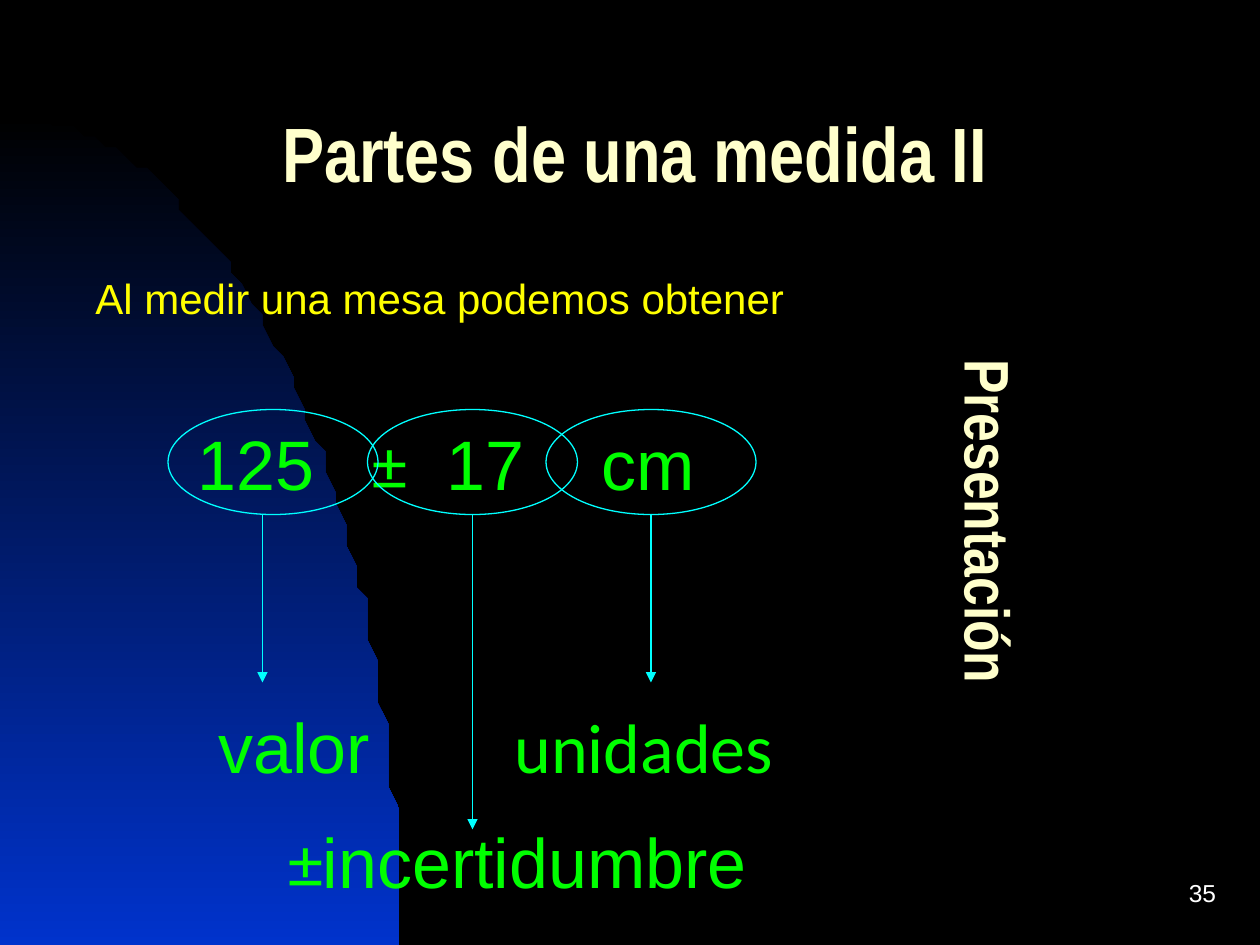
import lxml.etree
import pptx
import pptx.dml.color
import pptx.enum.shapes
import pptx.enum.text
import pptx.oxml.ns
import pptx.util

Inches = pptx.util.Inches
Pt = pptx.util.Pt
qn = pptx.oxml.ns.qn
ALIGN = pptx.enum.text.PP_ALIGN
ANCHOR = pptx.enum.text.MSO_ANCHOR

deck = pptx.Presentation()
deck.slide_width, deck.slide_height = Inches(10), Inches(7.5)
page = deck.slides.add_slide(deck.slide_layouts[6])

# Grid of 120 columns and 90 rows
CELL = deck.slide_width // 120
GREEN, CREAM, CYAN = "00FF00", "FFFFCC", "00FFFF"


def color(value):
    return pptx.dml.color.RGBColor.from_string(value)


def add_text(spans, left, top, width, height, size=40, fill=GREEN, font="Arial",
             bold=False, align=ALIGN.LEFT, anchor=ANCHOR.TOP, spacing=None,
             insets=(0, 0, 0, 0), tabs=(), vertical=None):
    """Add one paragraph; spans is a string or a list of (text, font)."""
    box = page.shapes.add_textbox(left * CELL, top * CELL, width * CELL, height * CELL)
    frame = box.text_frame
    frame.word_wrap = True
    frame.vertical_anchor = anchor
    (frame.margin_left, frame.margin_top,
     frame.margin_right, frame.margin_bottom) = map(Inches, insets)
    if vertical:
        frame._txBody.bodyPr.set("vert", vertical)
    para = frame.paragraphs[0]
    if tabs:
        stops = lxml.etree.SubElement(para._p.get_or_add_pPr(), qn("a:tabLst"))
        for place in tabs:
            lxml.etree.SubElement(stops, qn("a:tab"), pos=str(Inches(place)), algn="l")
    para.alignment = align
    if spacing:
        para.line_spacing = spacing
    for text, name in [(spans, font)] if isinstance(spans, str) else spans:
        span = para.add_run()
        span.text = text
        span.font.name, span.font.size, span.font.bold = name, Pt(size), bold
        span.font.color.rgb = color(fill)


# Background with the blue curved area
page.background.fill.solid()
page.background.fill.fore_color.rgb = color("000000")
start, bend_a, bend_b, finish = (0, 11), (21, 11), (38, 46.4), (38, 90)
curve = []
for step in range(1, 61):
    t = step / 60
    curve.append(tuple(
        a * (1 - t) ** 3 + 3 * b * t * (1 - t) ** 2 + 3 * c * t ** 2 * (1 - t) + d * t ** 3
        for a, b, c, d in zip(start, bend_a, bend_b, finish)))
builder = page.shapes.build_freeform(*start, scale=CELL)
builder.add_line_segments(curve + [(0, 90)], close=True)
area = builder.convert_to_shape()
area.shadow.inherit = False
area.line.fill.background()
area.fill.gradient()
area.fill.gradient_angle = 270
for stop, place, value in zip(area.fill.gradient_stops, (0, 1), ("000000", "0033CC")):
    stop.position = place
    stop.color.rgb = color(value)

# Slide number, title and introduction
add_text("35", 92, 82, 25, 6, size=14, fill="FFFFFF", align=ALIGN.RIGHT,
         anchor=ANCHOR.MIDDLE, insets=(0.1, 0.05, 0.1, 0.05))
add_text("Partes de una medida II", 5, 8, 111, 15, size=44, fill=CREAM,
         font="Arial Narrow", bold=True, align=ALIGN.CENTER, anchor=ANCHOR.MIDDLE,
         spacing=0.7, insets=(0.1, 0.05, 0.1, 0.05))
add_text("Al medir una mesa podemos obtener", 8, 26, 78, 5, size=24, fill="FFFF00",
         insets=(0.09, 0, 0, 0))

# Measurement
add_text([("125\t", "Arial"), ("±", "Calibri"), ("\t17\tcm", "Arial")], 17, 40, 59, 8,
         insets=(0.15, 0, 0, 0), tabs=(1.39, 1.98, 3.21))

# Ellipse and arrow for each part: ellipse column, arrow column, arrow end row
for left, middle, end in ((16, 25, 65), (35, 45, 79), (52, 62, 65)):
    group = page.shapes.add_group_shape()
    ellipse = group.shapes.add_shape(pptx.enum.shapes.MSO_SHAPE.OVAL,
                                     left * CELL, 39 * CELL, 20 * CELL, 10 * CELL)
    ellipse.shadow.inherit = False
    ellipse.fill.background()
    arrow = group.shapes.add_connector(pptx.enum.shapes.MSO_CONNECTOR.STRAIGHT,
                                       middle * CELL, 49 * CELL, middle * CELL, end * CELL)
    for part in (ellipse, arrow):
        part.line.color.rgb = color(CYAN)
        part.line.width = Pt(0.75)
    lxml.etree.SubElement(arrow.line._get_or_add_ln(), qn("a:tailEnd"), type="triangle")
    lxml.etree.SubElement(arrow._element.spPr, qn("a:effectLst"))

# Names of the parts
add_text("valor", 19, 67, 19, 16, insets=(0.15, 0, 0, 0))
add_text([("±", "Calibri"), ("incertidumbre", "Arial")], 20, 78, 59, 8,
         insets=(0.62, 0, 0, 0))
add_text("unidades", 46, 67, 33, 8, font="Calibri", insets=(0.25, 0, 0, 0))

# Vertical label
add_text("Presentación", 89, 33, 7.5, 51, size=36, fill=CREAM, font="Arial Narrow",
         bold=True, align=ALIGN.CENTER, spacing=0.7, insets=(0.05, 0.1, 0.05, 0.1),
         vertical="eaVert")

deck.save("out.pptx")
